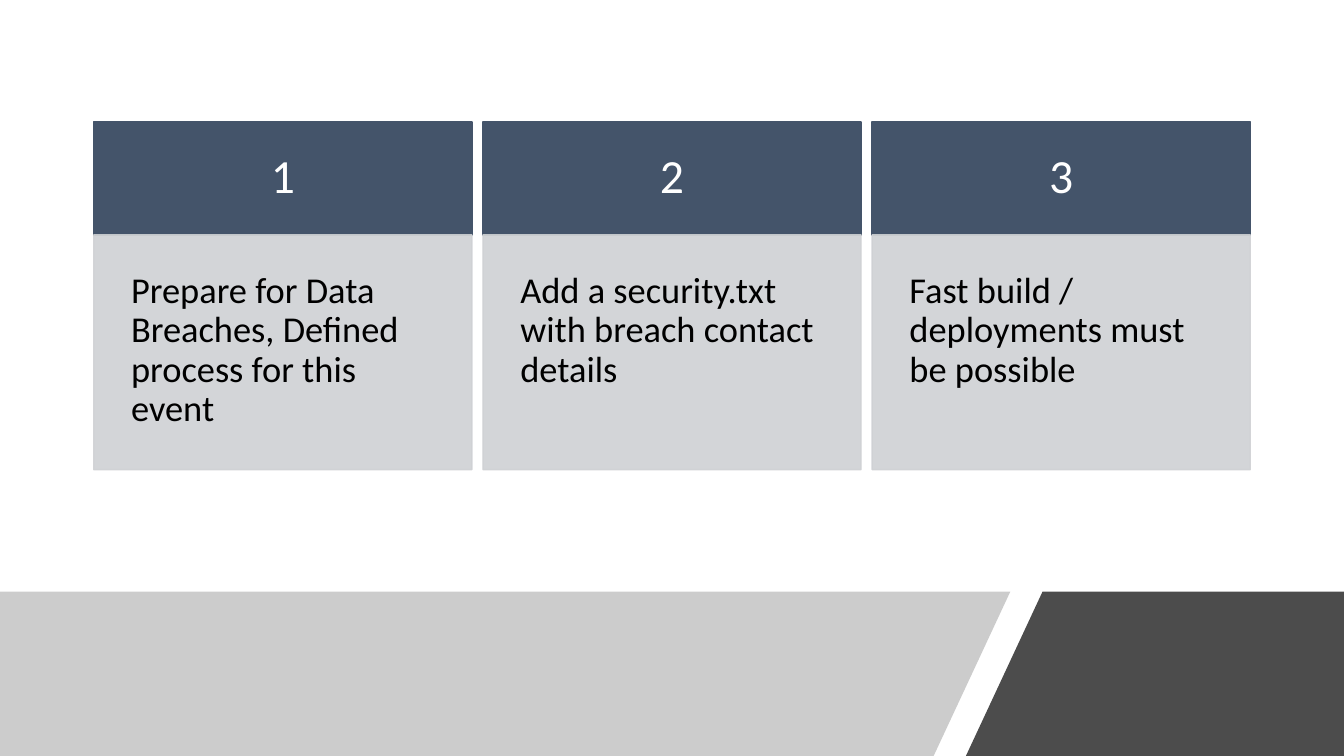
from dataclasses import dataclass

import lxml.etree
import pptx
import pptx.dml.color
import pptx.enum.shapes
import pptx.enum.text
import pptx.oxml.ns
import pptx.util
from pptx.util import Inches

SLIDE_WIDTH, SLIDE_HEIGHT = 13.33, 7.5
BAND_TOP = 5.87
CARD_LEFT, CARD_TOP = 0.93, 1.21
CARD_WIDTH, CARD_GAP = 3.75, 0.11
NUMBER_HEIGHT, ADVICE_HEIGHT = 1.12, 2.33
FONT = "Calibri"


@dataclass
class Band:
    corners: list[tuple[float, float]]
    color: str
    opacity: int


@dataclass
class CardPart:
    top: float
    height: float
    color: str
    opacity: int
    inset: float


BANDS = [
    Band([(0, BAND_TOP), (10.02, BAND_TOP), (9.26, SLIDE_HEIGHT),
          (0, SLIDE_HEIGHT)], "808080", 40),
    Band([(10.34, BAND_TOP), (SLIDE_WIDTH, BAND_TOP),
          (SLIDE_WIDTH, SLIDE_HEIGHT), (9.58, SLIDE_HEIGHT)], "000000", 70),
]
NUMBER = CardPart(CARD_TOP, NUMBER_HEIGHT, "44546A", 100, 0.3)
ADVICE = CardPart(CARD_TOP + NUMBER_HEIGHT, ADVICE_HEIGHT, "CFD1D4", 90, 0.37)
ADVICE_TEXTS = [
    "Prepare for Data Breaches, Defined process for this event",
    "Add a security.txt with breach contact details",
    "Fast build / deployments must be possible",
]


def rgb(color: str) -> pptx.dml.color.RGBColor:
    return pptx.dml.color.RGBColor.from_string(color)


def paint(fill, color: str, opacity: int = 100) -> None:
    """Give a fill a solid colour, with opacity in percent."""
    fill.solid()
    fill.fore_color.rgb = rgb(color)
    if opacity < 100:
        srgb = fill._xPr.find(".//" + pptx.oxml.ns.qn("a:srgbClr"))
        lxml.etree.SubElement(srgb, pptx.oxml.ns.qn("a:alpha"),
                              val=str(opacity * 1000))


def write(shape, text: str, *, size: float, color: str, inset: float,
          align=pptx.enum.text.PP_ALIGN.LEFT,
          anchor=pptx.enum.text.MSO_ANCHOR.TOP) -> None:
    frame = shape.text_frame
    frame.word_wrap = True
    frame.vertical_anchor = anchor
    frame.margin_left = frame.margin_right = Inches(inset)
    frame.margin_top = frame.margin_bottom = Inches(inset)
    paragraph = frame.paragraphs[0]
    paragraph.alignment = align
    paragraph.line_spacing = 0.9
    run = paragraph.add_run()
    run.text = text
    run.font.name = FONT
    run.font.size = pptx.util.Pt(size)
    run.font.color.rgb = rgb(color)


def add_band(slide, band: Band) -> None:
    start, *rest = [(Inches(x), Inches(y)) for x, y in band.corners]
    builder = slide.shapes.build_freeform(*start)
    builder.add_line_segments(rest, close=True)
    shape = builder.convert_to_shape()
    shape.shadow.inherit = False
    paint(shape.fill, band.color, band.opacity)
    shape.line.fill.background()


def add_card_part(slide, left: float, part: CardPart, text: str,
                  **text_format) -> None:
    shape = slide.shapes.add_shape(
        pptx.enum.shapes.MSO_SHAPE.RECTANGLE, Inches(left), Inches(part.top),
        Inches(CARD_WIDTH), Inches(part.height))
    shape.shadow.inherit = False
    paint(shape.fill, part.color, part.opacity)
    shape.line.width = pptx.util.Pt(1)
    paint(shape.line.fill, part.color, part.opacity)
    write(shape, text, inset=part.inset, **text_format)


def main() -> None:
    deck = pptx.Presentation()
    deck.slide_width = Inches(SLIDE_WIDTH)
    deck.slide_height = Inches(SLIDE_HEIGHT)
    slide = deck.slides.add_slide(deck.slide_layouts[6])
    paint(slide.background.fill, "FFFFFF")
    for band in BANDS:
        add_band(slide, band)
    for index, advice in enumerate(ADVICE_TEXTS):
        left = CARD_LEFT + index * (CARD_WIDTH + CARD_GAP)
        add_card_part(slide, left, NUMBER, str(index + 1), size=34,
                      color="FFFFFF", align=pptx.enum.text.PP_ALIGN.CENTER,
                      anchor=pptx.enum.text.MSO_ANCHOR.MIDDLE)
        add_card_part(slide, left, ADVICE, advice, size=26, color="000000")
    deck.save("out.pptx")


if __name__ == "__main__":
    main()
